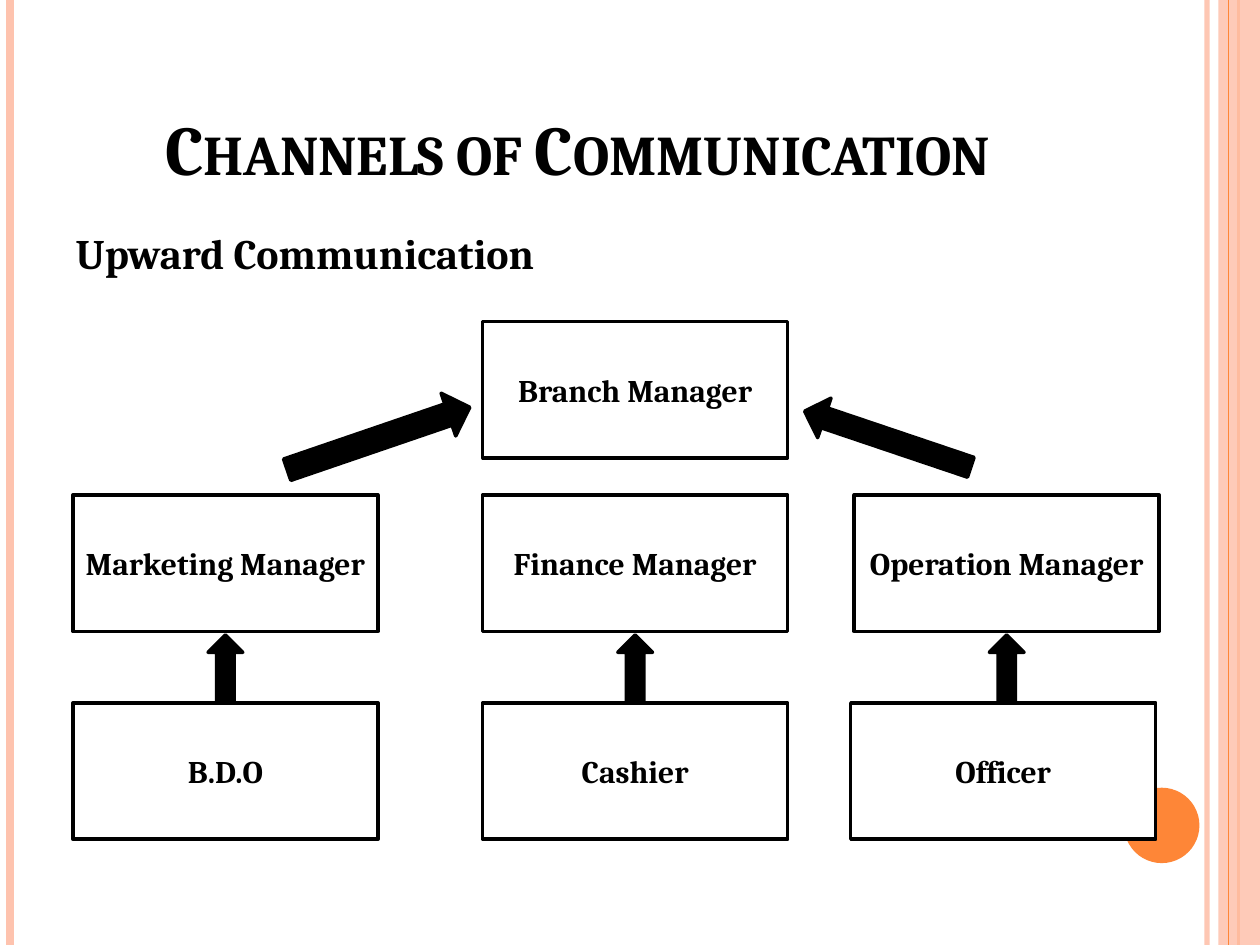
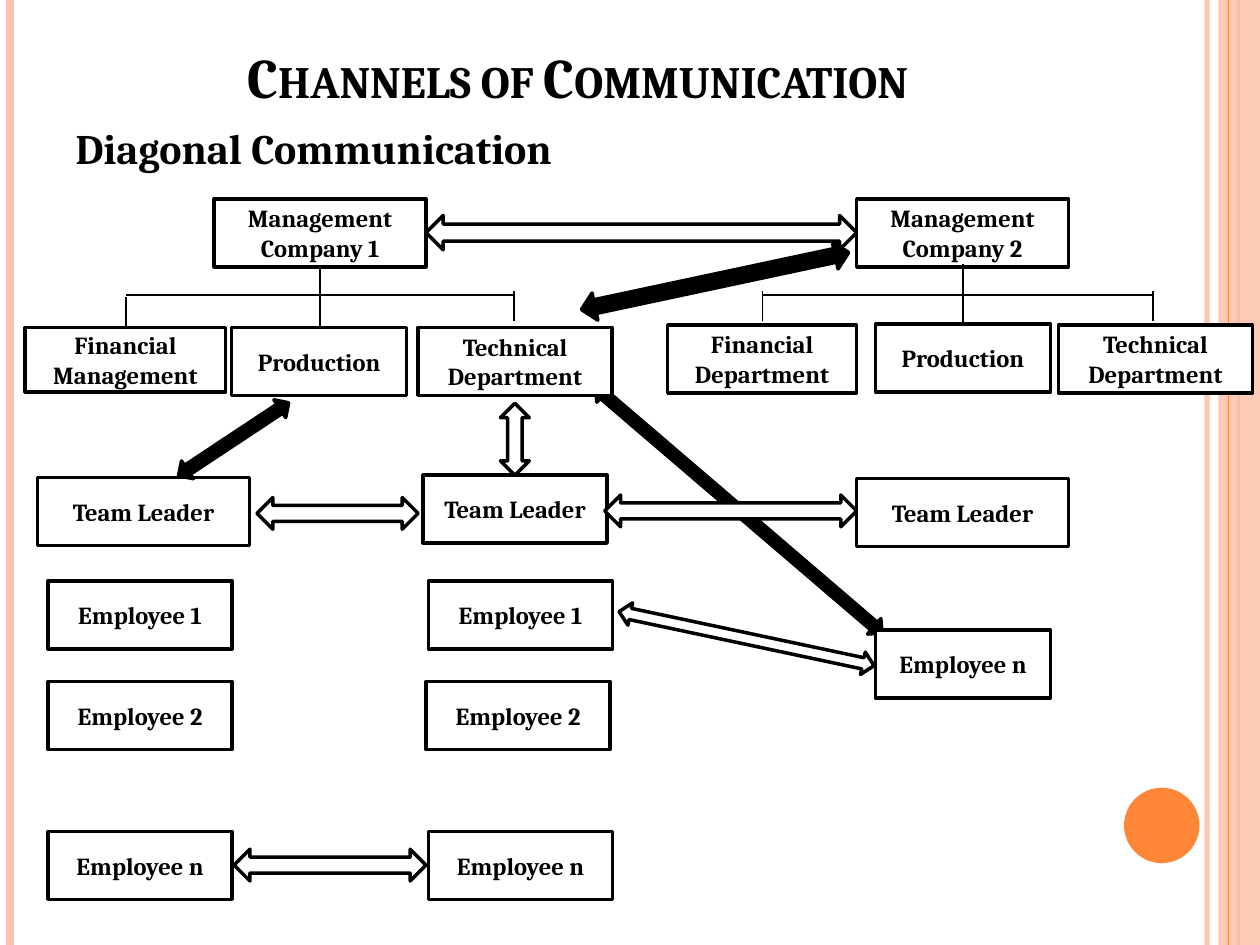
from dataclasses import dataclass
from math import atan2, degrees, hypot

from lxml.etree import SubElement
from pptx import Presentation
from pptx.dml.color import RGBColor
from pptx.enum.shapes import MSO_CONNECTOR, MSO_SHAPE
from pptx.enum.text import MSO_ANCHOR, MSO_AUTO_SIZE, PP_ALIGN
from pptx.oxml.ns import qn
from pptx.slide import Slide, SlideLayout
from pptx.util import Cm, Pt

FONT = "Cambria"
BLACK = RGBColor(0x00, 0x00, 0x00)
WHITE = RGBColor(0xFF, 0xFF, 0xFF)
PEACH = RGBColor(0xFE, 0xC3, 0xAE)
ORANGE = RGBColor(0xFE, 0x86, 0x37)
SLIDE_WIDTH, SLIDE_HEIGHT = 25.4, 19.05
TEXT_LEFT, TEXT_WIDTH, TEXT_BOTTOM = 1.27, 20.75, 17.98
TITLE_TOP = 0.76


@dataclass(frozen=True)
class Box:
    label: str
    left: float
    top: float
    width: float
    height: float = 1.37
    size: int = 14


@dataclass(frozen=True)
class Arrow:
    start: tuple[float, float]
    end: tuple[float, float]
    thickness: float
    fill: RGBColor = WHITE
    preset: MSO_SHAPE = MSO_SHAPE.LEFT_RIGHT_ARROW


@dataclass(frozen=True)
class Rule:
    start: tuple[float, float]
    end: tuple[float, float]
    color: RGBColor = BLACK
    weight: float = 1
    opacity: int = 100


@dataclass(frozen=True)
class Branching:
    trunk: float
    top: float
    left: float
    left_top: float
    right: float


def style_paragraph(paragraph, size: int, align: PP_ALIGN) -> None:
    paragraph.alignment = align
    font = paragraph.font
    font.name, font.size, font.bold = FONT, Pt(size), True
    font.color.rgb = BLACK


def set_opacity(parent, percent: int) -> None:
    color = next(parent.iter(qn("a:srgbClr")))
    SubElement(color, qn("a:alpha")).set("val", str(percent * 1000))


def draw_rule(slide: Slide, rule: Rule):
    points = [Cm(value) for value in (*rule.start, *rule.end)]
    connector = slide.shapes.add_connector(MSO_CONNECTOR.STRAIGHT, *points)
    connector.line.color.rgb = rule.color
    connector.line.width = Pt(rule.weight)
    properties = connector.element.spPr
    if rule.opacity < 100:
        set_opacity(properties, rule.opacity)
    SubElement(properties, qn("a:effectLst"))
    return connector


def draw_shape(slide: Slide, preset: MSO_SHAPE, left: float, top: float,
               width: float, height: float, fill: RGBColor, outlined: bool = True):
    shape = slide.shapes.add_shape(preset, Cm(left), Cm(top), Cm(width), Cm(height))
    shape.shadow.inherit = False
    shape.fill.solid()
    shape.fill.fore_color.rgb = fill
    if outlined:
        shape.line.color.rgb = BLACK
        shape.line.width = Pt(2)
    else:
        shape.line.fill.background()
    return shape


def draw_box(slide: Slide, box: Box) -> None:
    shape = draw_shape(slide, MSO_SHAPE.RECTANGLE, box.left, box.top,
                       box.width, box.height, WHITE)
    frame = shape.text_frame
    frame.word_wrap = True
    frame.vertical_anchor = MSO_ANCHOR.MIDDLE
    frame.text = box.label
    style_paragraph(frame.paragraphs[0], box.size, PP_ALIGN.CENTER)


def draw_arrow(slide: Slide, arrow: Arrow) -> None:
    (x1, y1), (x2, y2) = arrow.start, arrow.end
    length = hypot(x2 - x1, y2 - y1)
    shape = draw_shape(slide, arrow.preset, (x1 + x2 - length) / 2,
                       (y1 + y2 - arrow.thickness) / 2, length, arrow.thickness, arrow.fill)
    shape.rotation = degrees(atan2(y2 - y1, x2 - x1)) % 360


def draw_branching(slide: Slide, tree: Branching) -> None:
    bar, drop_top, drop_bottom = 5.94, 5.87, 6.48
    left_bottom = tree.left_top + drop_bottom - drop_top
    for start, end in (
        ((tree.trunk, tree.top), (tree.trunk, tree.top + 1.22)),
        ((tree.left, bar), (tree.right, bar)),
        ((tree.left, tree.left_top), (tree.left, left_bottom)),
        ((tree.right, drop_top), (tree.right, drop_bottom)),
    ):
        draw_rule(slide, Rule(start, end))


def decorate_layout(layout: SlideLayout, slide: Slide) -> None:
    def stripe(x: float, color: RGBColor, weight: float, opacity: int = 100):
        return draw_rule(slide, Rule((x, 0), (x, SLIDE_HEIGHT), color, weight, opacity))

    inner_stripe = stripe(24.33, PEACH, 3, 93)
    left_stripe = stripe(0.2, PEACH, 4.5)
    outer_stripe = stripe(24.97, ORANGE, 1.5)
    band = draw_shape(slide, MSO_SHAPE.RECTANGLE, 24.56, 0, 0.84, SLIDE_HEIGHT, PEACH, False)
    set_opacity(band.element.spPr, 87)
    middle_stripe = stripe(24.77, ORANGE, 0.75)
    disc = draw_shape(slide, MSO_SHAPE.OVAL, 22.66, 15.88, 1.52, 1.52, ORANGE, False)
    for part in (inner_stripe, left_stripe, outer_stripe, band, middle_stripe, disc):
        layout.shapes.element.append(part.element)


def write_headings(slide: Slide, subtitle: str, title_size: int,
                   title_height: float, body_top: float) -> None:
    title, body = slide.shapes.title, slide.placeholders[1]
    for holder, text, size, top, height, align, anchor in (
        (title, "Channels of Communication", title_size, TITLE_TOP, title_height,
         PP_ALIGN.CENTER, MSO_ANCHOR.BOTTOM),
        (body, subtitle, 24, body_top, TEXT_BOTTOM - body_top,
         PP_ALIGN.LEFT, MSO_ANCHOR.TOP),
    ):
        holder.left, holder.top = Cm(TEXT_LEFT), Cm(top)
        holder.width, holder.height = Cm(TEXT_WIDTH), Cm(height)
        frame = holder.text_frame
        frame.text = text
        frame.auto_size = MSO_AUTO_SIZE.NONE
        frame.vertical_anchor = anchor
        style_paragraph(frame.paragraphs[0], size, align)

    title_properties = title.text_frame.paragraphs[0]._p.pPr
    title_properties.find(qn("a:defRPr")).set("cap", "small")
    body_paragraph = body.text_frame.paragraphs[0]
    body_paragraph.space_before = Pt(6)
    body_properties = body_paragraph._p.pPr
    body_properties.set("marL", "0")
    body_properties.set("indent", "0")
    no_bullet = SubElement(body_properties, qn("a:buNone"))
    body_properties.find(qn("a:defRPr")).addprevious(no_bullet)


def draw_upward(slide: Slide) -> None:
    write_headings(slide, "Upward Communication", 40, 3.18, 4.45)
    width, height = 6.15, 2.75
    manager_top, staff_top = 9.98, 14.17
    columns = (
        (1.47, "Marketing Manager", 1.47, "B.D.O"),
        (9.73, "Finance Manager", 9.73, "Cashier"),
        (17.22, "Operation Manager", 17.15, "Officer"),
    )
    draw_box(slide, Box("Branch Manager", 9.73, 6.48, width, height, 18))
    for manager_left, manager, staff_left, staff in columns:
        draw_box(slide, Box(manager, manager_left, manager_top, width, height, 18))
        draw_box(slide, Box(staff, staff_left, staff_top, width, height, 18))
        center = manager_left + width / 2
        draw_arrow(slide, Arrow((center, staff_top), (center, 12.8), 0.7,
                                BLACK, MSO_SHAPE.RIGHT_ARROW))
    for start, end, thickness in (
        ((5.79, 9.47), (9.47, 8.21), 0.91),
        ((19.57, 9.42), (16.22, 8.29), 0.84),
    ):
        draw_arrow(slide, Arrow(start, end, thickness, BLACK, MSO_SHAPE.RIGHT_ARROW))


def draw_diagonal(slide: Slide) -> None:
    write_headings(slide, "Diagonal Communication", 32, 1.57, 2.34)
    wide, narrow, production, technical = 4.27, 3.71, 3.53, 3.91
    arrows_behind = (
        Arrow((12.01, 7.82), (17.78, 12.76), 0.41, BLACK),
        Arrow((10.38, 9.58), (10.38, 8.13), 0.58),
        Arrow((5.18, 10.35), (8.43, 10.35), 0.64),
        Arrow((11.72, 6.24), (17.11, 5.09), 0.56, BLACK),
        Arrow((8.59, 4.69), (17.27, 4.69), 0.69),
    )
    boxes = [
        Box("Management Company 1", 4.32, 4.01, wide),
        Box("Management Company 2", 17.27, 4.01, wide),
        Box("Financial Management", 0.51, 6.6, 4.04, 1.3),
        Box("Production", 4.67, 6.6, production),
        Box("Technical Department", 8.43, 6.6, technical),
        Box("Financial Department", 13.46, 6.55, 3.81),
        Box("Production", 17.65, 6.53, production),
        Box("Technical Department", 21.34, 6.55, technical),
        Box("Team Leader", 0.76, 9.63, wide),
        Box("Team Leader", 8.53, 9.58, narrow),
        Box("Team Leader", 17.27, 9.65, wide),
        Box("Employee n", 17.65, 12.7, production),
    ]
    for employee, top, right_column in (("1", 11.71, 8.64), ("2", 13.74, 8.59), ("n", 16.76, 8.64)):
        boxes += [Box(f"Employee {employee}", left, top, narrow) for left in (0.97, right_column)]
    arrows_front = (
        Arrow((3.6, 9.59), (5.82, 8.12), 0.43, BLACK),
        Arrow((12.48, 12.33), (17.62, 13.42), 0.46),
        Arrow((12.19, 10.3), (17.27, 10.3), 0.64),
        Arrow((4.72, 17.44), (8.59, 17.44), 0.64),
    )
    for arrow in arrows_behind:
        draw_arrow(slide, arrow)
    for box in boxes:
        draw_box(slide, box)
    for arrow in arrows_front:
        draw_arrow(slide, arrow)
    draw_branching(slide, Branching(6.45, 5.38, 2.54, 5.99, 10.37))
    draw_branching(slide, Branching(19.41, 5.33, 15.37, 5.87, 23.24))


def main() -> None:
    presentation = Presentation()
    presentation.slide_width = Cm(SLIDE_WIDTH)
    presentation.slide_height = Cm(SLIDE_HEIGHT)
    layout = presentation.slide_layouts[1]
    upward, diagonal = (presentation.slides.add_slide(layout) for _ in range(2))
    decorate_layout(layout, upward)
    draw_upward(upward)
    draw_diagonal(diagonal)
    presentation.save("out.pptx")


main()
